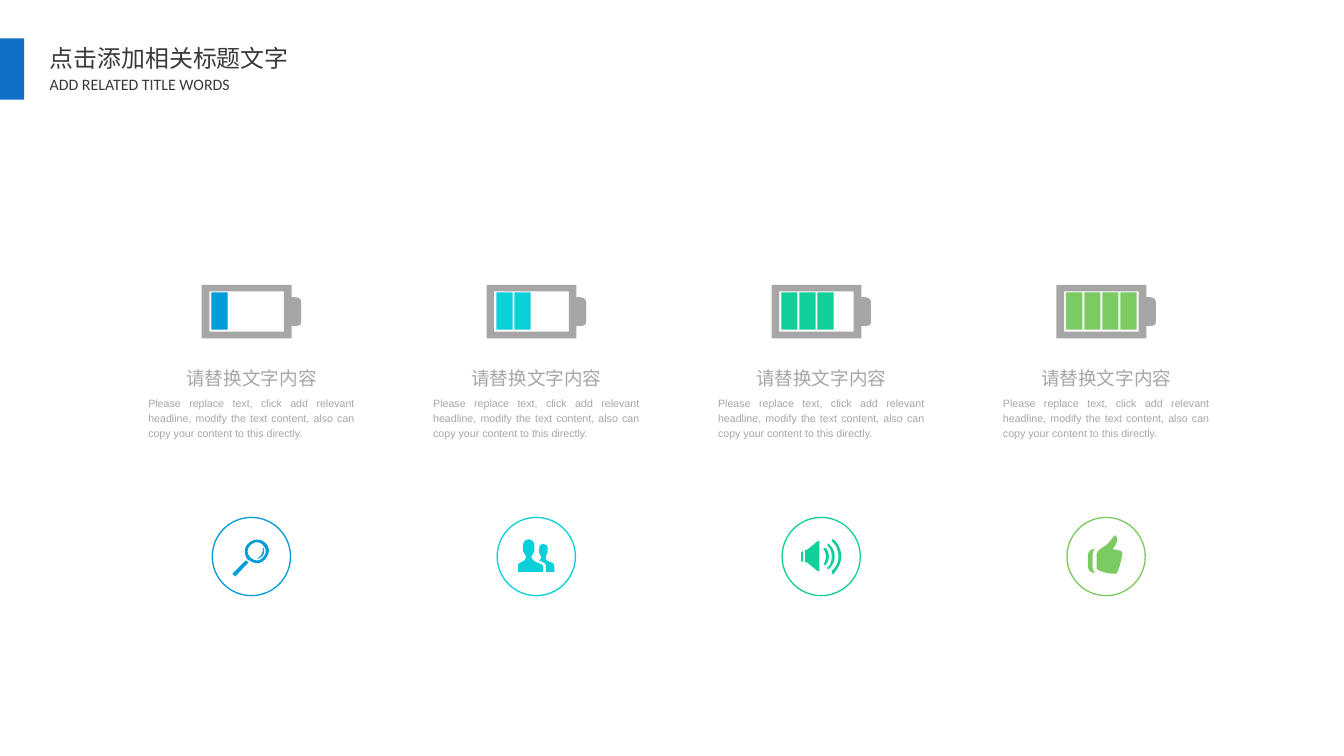
"""Build a slide with four battery levels, captions and round icons."""
from dataclasses import dataclass

from lxml.etree import SubElement
from pptx import Presentation
from pptx.dml.color import RGBColor
from pptx.enum.shapes import MSO_SHAPE
from pptx.enum.text import MSO_AUTO_SIZE, PP_ALIGN
from pptx.oxml.ns import qn
from pptx.shapes.autoshape import Shape
from pptx.shapes.shapetree import SlideShapes
from pptx.util import Cm, Pt

COLORS = {
    "accent": "0F6FC6", "dark": "3B3838", "gray": "A6A6A6",
    "blue": "009DD9", "cyan": "0BD0D9", "teal": "10CF9B", "green": "7CCA62",
}
HAN_FONT = "Noto Sans CJK SC"
HEAD = "请替换文字内容"
BODY = ("Please replace text, click add relevant headline, modify the text "
        "content, also can copy your content to this directly.")
PITCH = 7.57
BAR_STEP = 0.48
FINE = 100
SCALE = Cm(2.54) / 100 / FINE
STEPS = 6

CELL = ("94 13;94 0;0 0;0 56;94 56;94 43;97 43 104 44 104 39;104 18;104 12 96 13 94 13"
        "|86 49;8 49;8 7;86 7")
LENS = (
    "56 27;51 22 43 22 38 27;33 31 33 39 37 44;38 45 38 45 39 45;44 49 51 49 55 44;"
    "60 39 61 32 56 27|53 42;50 46 44 46 40 42;36 38 36 33 40 29;44 25 50 25 53 29;"
    "57 33 57 38 53 42",
    "21 59;24 62;38 47;35 45",
    "53 31;54 40 47 43 47 43;49 43;58 38 53 31 53 31",
)
PEOPLE = (
    "60 57;60 57 60 49 59 49;59 48 57 47 54 46;51 45 51 44 51 41;51 40 51 41 52 38;"
    "52 37 53 38 53 36;53 35 52 35 52 35;52 35 53 34 53 33;53 31 52 28 48 28;"
    "44 28 44 31 44 33;44 34 44 35 44 35;44 36;44 38 44 37 45 38;45 41 46 40 46 41;"
    "46 43 45 44 44 45;50 48 51 48 51 51;51 57"
    "|41 47;38 45 36 44 36 41;36 39 37 40 38 37;38 36 39 37 39 34;39 33 39 32 39 32;"
    "39 32 39 31 39 29;39 28 38 23 33 23;28 23 27 28 27 29;27 31 27 32 27 32;"
    "27 32 27 33 27 34;27 37 28 36 28 37;29 40 30 39 30 41;30 44 29 45 25 47;"
    "24 47 22 48 22 50;22 57;48 57;48 57 48 53 48 51;48 50 45 48 41 47",
)
SPEAKER = (
    "37 25;26 34;24 34;24 47;26 47;37 56;37 56 39 57 39 56;39 25;39 24 37 25 37 25",
    "20 37;20 45;20 46 21 46 22 47;22 35;21 36 20 36 20 37",
    "46 32;45 32 44 32 44 32;43 33 43 34 44 34;45 36 46 39 46 41;46 43 45 46 44 48;"
    "43 48 43 49 44 49;44 50 44 50 45 50;45 50 45 50 46 49;48 47 49 44 49 41;"
    "49 38 48 35 46 32",
    "49 28;49 27 48 27 48 28;47 28 47 29 48 30;51 33 52 37 52 41;52 45 51 49 48 52;"
    "47 52 47 53 48 54;49 54;53 50 55 46 55 41;55 36 53 31 49 28",
    "54 23;54 23 53 23 52 23;52 24 52 24 52 25;57 29 59 35 59 41;59 46 57 52 52 56;"
    "52 57 52 58 52 59;54 59;59 53 62 47 62 41;62 34 59 28 54 23",
)
THUMB = (
    "48 33;48 32 56 25 51 19;50 17 46 25 41 29;38 31 31 35 31 38;31 53;31 56 42 59 51 59;"
    "54 59 58 40 58 37;58 34 49 34 48 33"
    "|29 33;27 33 22 34 22 40;22 51;22 57 27 58 29 58;30 58 27 56 27 53;27 38;"
    "27 34 30 33 29 33",
)


@dataclass
class Box:
    left: float
    top: float
    width: float
    height: float


@dataclass
class Style:
    size: int
    color: str
    font: str = "Arial"
    align: PP_ALIGN = PP_ALIGN.LEFT
    space: float = 1.0
    wrap: bool = True


@dataclass
class Level:
    color: str
    bars: int
    icon: tuple[str, ...]


LEVELS = [
    Level("blue", 1, LENS),
    Level("cyan", 2, PEOPLE),
    Level("teal", 3, SPEAKER),
    Level("green", 4, THUMB),
]
HEAD_STYLE = Style(14, "gray", align=PP_ALIGN.CENTER, space=1.2)
BODY_STYLE = Style(8, "gray", align=PP_ALIGN.JUSTIFY, space=1.2)


def shade(name: str) -> RGBColor:
    return RGBColor.from_string(COLORS[name])


def paint(shape: Shape, color: str) -> None:
    shape.shadow.inherit = False
    shape.fill.solid()
    shape.fill.fore_color.rgb = shade(color)
    shape.line.fill.background()


def add_form(shapes: SlideShapes, kind: MSO_SHAPE, box: Box) -> Shape:
    return shapes.add_shape(kind, Cm(box.left), Cm(box.top), Cm(box.width), Cm(box.height))


def add_block(shapes: SlideShapes, box: Box, color: str) -> None:
    paint(add_form(shapes, MSO_SHAPE.RECTANGLE, box), color)


def add_ring(shapes: SlideShapes, box: Box, color: str) -> None:
    ring = add_form(shapes, MSO_SHAPE.OVAL, box)
    ring.shadow.inherit = False
    ring.fill.background()
    ring.line.color.rgb = shade(color)
    ring.line.width = Pt(1)


def trace(outline: str) -> list[tuple[float, float]]:
    points = []
    for part in outline.split(";"):
        nums = [float(num) * FINE for num in part.split()]
        if len(nums) == 2:
            points.append((nums[0], nums[1]))
            continue
        knots = list(zip(points[-1], nums[:2], nums[2:4], nums[4:]))
        for step in range(1, STEPS + 1):
            t = step / STEPS
            u = 1 - t
            x, y = (a * u**3 + 3 * b * u * u * t + 3 * c * u * t * t + d * t**3
                    for a, b, c, d in knots)
            points.append((x, y))
    return points


def add_sketch(shapes: SlideShapes, sketch: str, left: float, top: float, color: str) -> None:
    first, *others = [trace(outline) for outline in sketch.split("|")]
    pen = shapes.build_freeform(*first[0], scale=SCALE)
    pen.add_line_segments(first[1:], close=True)
    for points in others:
        pen.move_to(*points[0])
        pen.add_line_segments(points[1:], close=True)
    paint(pen.convert_to_shape(Cm(left), Cm(top)), color)


def add_label(shapes: SlideShapes, text: str, box: Box, style: Style) -> None:
    label = shapes.add_textbox(Cm(box.left), Cm(box.top), Cm(box.width), Cm(box.height))
    frame = label.text_frame
    frame.text = text
    frame.word_wrap = style.wrap
    if not style.wrap:
        frame.auto_size = MSO_AUTO_SIZE.SHAPE_TO_FIT_TEXT
    frame.margin_left = frame.margin_right = Cm(0.28)
    frame.margin_top = frame.margin_bottom = Cm(0.13)
    para = frame.paragraphs[0]
    para.alignment = style.align
    para.line_spacing = style.space
    run = para.runs[0]
    run.font.size = Pt(style.size)
    run.font.color.rgb = shade(style.color)
    run.font.name = style.font
    SubElement(run.font._element, qn("a:ea"), typeface=HAN_FONT)


def add_level(shapes: SlideShapes, level: Level, shift: float) -> None:
    add_sketch(shapes, CELL, 5.36 + shift, 7.57, "gray")
    for bar in range(level.bars):
        add_block(shapes, Box(5.62 + shift + bar * BAR_STEP, 7.77, 0.43, 0.99), level.color)
    ring = Box(5.64 + shift, 13.75, 2.08, 2.08)
    add_ring(shapes, ring, level.color)
    for sketch in level.icon:
        add_sketch(shapes, sketch, ring.left, ring.top, level.color)
    add_label(shapes, HEAD, Box(3.66 + shift, 9.5, 6.05, 0.99), HEAD_STYLE)
    add_label(shapes, BODY, Box(3.66 + shift, 10.34, 6.05, 2.21), BODY_STYLE)


def main() -> None:
    deck = Presentation()
    deck.slide_width, deck.slide_height = Cm(35.71), Cm(20.09)
    shapes = deck.slides.add_slide(deck.slide_layouts[6]).shapes
    add_block(shapes, Box(0, 1.02, 0.64, 1.63), "accent")
    for index, level in enumerate(LEVELS):
        add_level(shapes, level, index * PITCH)
    add_label(shapes, "点击添加相关标题文字", Box(1.04, 1.04, 6.96, 1.04),
              Style(18, "dark", HAN_FONT, wrap=False))
    add_label(shapes, "ADD RELATED TITLE WORDS", Box(1.04, 1.85, 6.53, 0.79),
              Style(12, "dark", "Calibri", wrap=False))
    deck.save("out.pptx")


if __name__ == "__main__":
    main()
